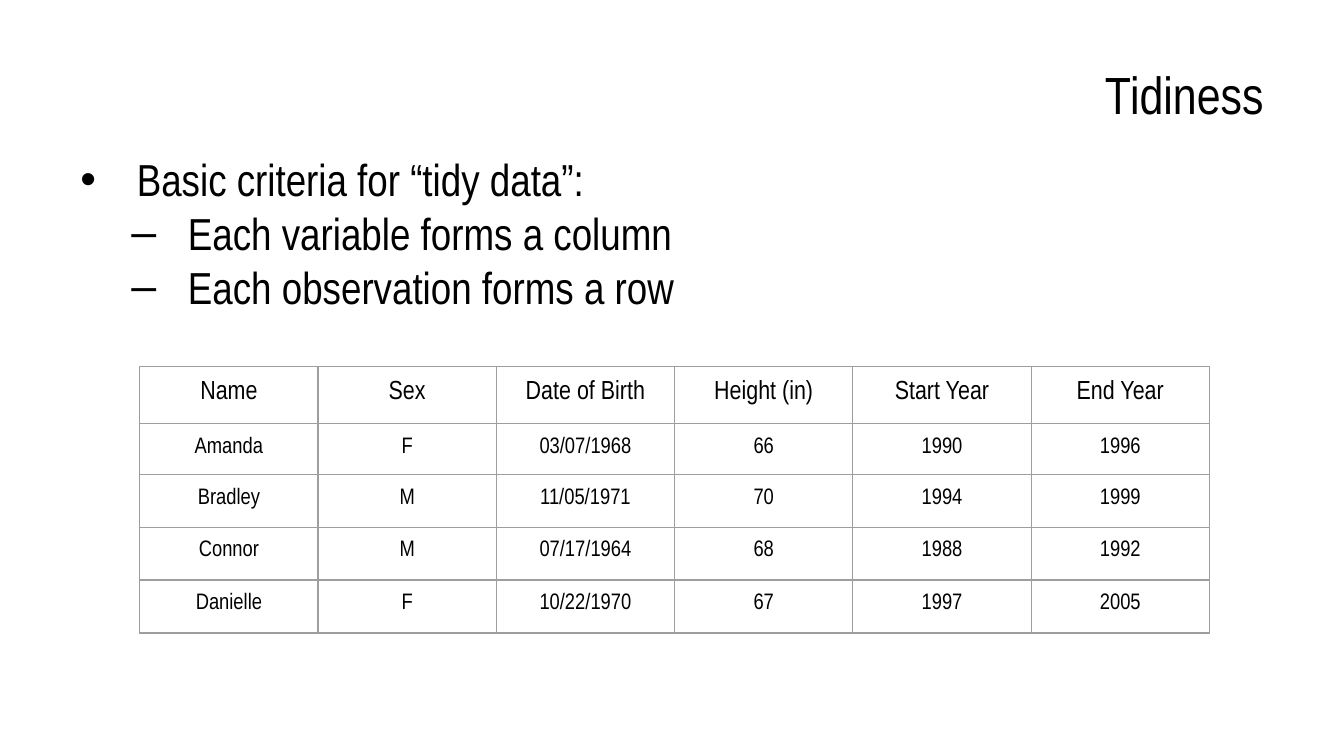
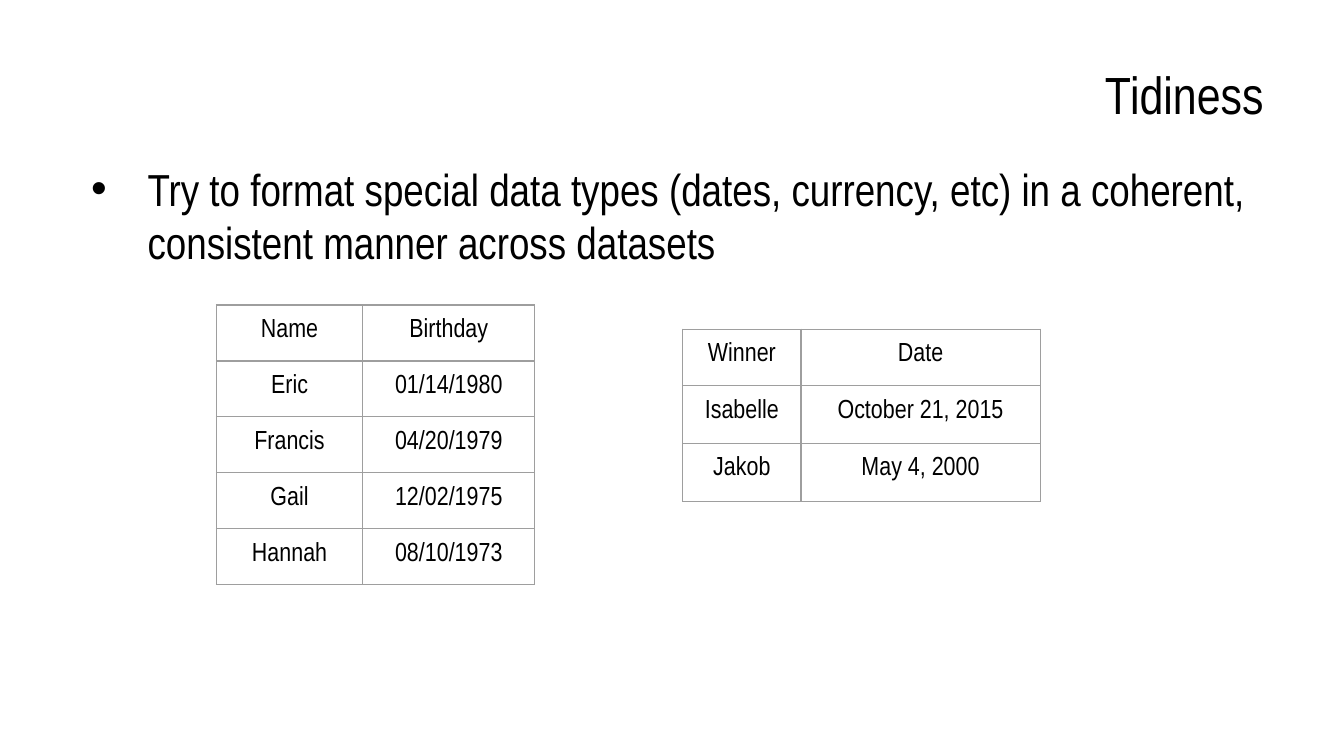
from lxml import etree
from pptx import Presentation
from pptx.dml.color import RGBColor
from pptx.enum.text import MSO_ANCHOR, MSO_AUTO_SIZE, PP_ALIGN
from pptx.oxml.ns import qn
from pptx.util import Inches, Pt

LEFT, CENTER, RIGHT = PP_ALIGN.LEFT, PP_ALIGN.CENTER, PP_ALIGN.RIGHT
TOP, MIDDLE = MSO_ANCHOR.TOP, MSO_ANCHOR.MIDDLE
NO_FIT = MSO_AUTO_SIZE.NONE

BLACK = RGBColor(0x00, 0x00, 0x00)
GRAY = RGBColor(0x9E, 0x9E, 0x9E)
WHITE = RGBColor(0xFF, 0xFF, 0xFF)
FONT = "Arial Narrow"
MARGIN = Inches(0.1)
TITLE_BOX = (0.5, 0.23, 9, 0.94)
BULLET_MARKS = ("•", "–")
BULLET_INDENTS = (0.5, 0.88)
HANGING = 0.42

PEOPLE = [
    ("Name", "Sex", "Date of Birth", "Height (in)", "Start Year", "End Year"),
    ("Amanda", "F", "03/07/1968", "66", "1990", "1996"),
    ("Bradley", "M", "11/05/1971", "70", "1994", "1999"),
    ("Connor", "M", "07/17/1964", "68", "1988", "1992"),
    ("Danielle", "F", "10/22/1970", "67", "1997", "2005"),
]
BIRTHDAYS = [
    ("Name", "Birthday"),
    ("Eric", "01/14/1980"),
    ("Francis", "04/20/1979"),
    ("Gail", "12/02/1975"),
    ("Hannah", "08/10/1973"),
]
WINNERS = [
    ("Winner", "Date"),
    ("Isabelle", "October 21, 2015"),
    ("Jakob", "May 4, 2000"),
]


def write(para, text, size=14, align=LEFT, color=BLACK, after=0):
    para.alignment = align
    para.space_before = Pt(0)
    para.space_after = Pt(after)
    span = para.add_run()
    span.text = text
    span.font.name = FONT
    span.font.size = Pt(size)
    span.font.color.rgb = color


def set_margins(target):
    target.margin_left = target.margin_right = MARGIN
    target.margin_top = target.margin_bottom = MARGIN


def format_frame(frame, anchor):
    frame.word_wrap = True
    frame.auto_size = NO_FIT
    frame.vertical_anchor = anchor
    set_margins(frame)


def add_bullet(para, level):
    para.level = level
    props = para._p.get_or_add_pPr()
    props.set("marL", str(Inches(BULLET_INDENTS[level])))
    props.set("indent", str(-Inches(HANGING)))
    color = etree.SubElement(props, qn("a:buClr"))
    etree.SubElement(color, qn("a:srgbClr"), val=str(BLACK))
    etree.SubElement(props, qn("a:buFont"), typeface="Arial")
    etree.SubElement(props, qn("a:buChar"), char=BULLET_MARKS[level])


def add_borders(cell):
    props = cell._tc.get_or_add_tcPr()
    for side in ("L", "R", "T", "B"):
        line = etree.SubElement(props, qn(f"a:ln{side}"), w=str(Pt(0.75)))
        fill = etree.SubElement(line, qn("a:solidFill"))
        etree.SubElement(fill, qn("a:srgbClr"), val=str(GRAY))


def add_page(deck, title):
    page = deck.slides.add_slide(deck.slide_layouts[5])
    page.background.fill.solid()
    page.background.fill.fore_color.rgb = WHITE
    box = page.shapes.title
    box.left, box.top, box.width, box.height = map(Inches, TITLE_BOX)
    format_frame(box.text_frame, MIDDLE)
    write(box.text_frame.paragraphs[0], title, size=28, align=RIGHT)
    return page


def add_bullets(page, box, items, after=0):
    frame = page.shapes.add_textbox(*map(Inches, box)).text_frame
    format_frame(frame, TOP)
    for index, (level, text) in enumerate(items):
        para = frame.add_paragraph() if index else frame.paragraphs[0]
        add_bullet(para, level)
        write(para, text, size=24, after=after)


def add_grid(page, left, top, widths, heights, rows, body_size=14):
    box = (left, top, sum(widths), sum(heights))
    table = page.shapes.add_table(len(rows), len(widths), *map(Inches, box)).table
    table.first_row = table.horz_banding = False
    for column, width in zip(table.columns, widths):
        column.width = Inches(width)
    for index, (row, height, values) in enumerate(zip(table.rows, heights, rows)):
        row.height = Inches(height)
        for cell, value in zip(row.cells, values):
            set_margins(cell)
            cell.vertical_anchor = TOP
            add_borders(cell)
            cell.fill.background()
            size = body_size if index else 14
            write(cell.text_frame.paragraphs[0], value, size=size, align=CENTER)


def build_criteria(deck):
    page = add_page(deck, "Tidiness")
    add_bullets(page, (0.42, 1.03, 5.8, 1.5), [
        (0, "Basic criteria for “tidy data”:"),
        (1, "Each variable forms a column"),
        (1, "Each observation forms a row"),
    ])
    heights = [0.42, 0.38] + [1.18 / 3] * 3
    add_grid(page, 1.04, 2.73, [7.96 / 6] * 6, heights, PEOPLE, body_size=12)


def build_formats(deck):
    page = add_page(deck, "Tidiness")
    add_bullets(page, (0.5, 1.1, 9, 3.71), [
        (0, "Try to format special data types (dates, currency, etc) in a "
            "coherent, consistent manner across datasets"),
    ], after=10)
    add_grid(page, 1.61, 2.27, [1.09, 1.28], [2.08 / 5] * 5, BIRTHDAYS)
    add_grid(page, 5.08, 2.45, [0.88, 1.78], [0.42, 0.43, 0.43], WINNERS)


def main():
    deck = Presentation()
    deck.slide_width = Inches(10)
    deck.slide_height = deck.slide_width * 9 // 16
    build_criteria(deck)
    build_formats(deck)
    deck.save("out.pptx")


if __name__ == "__main__":
    main()
